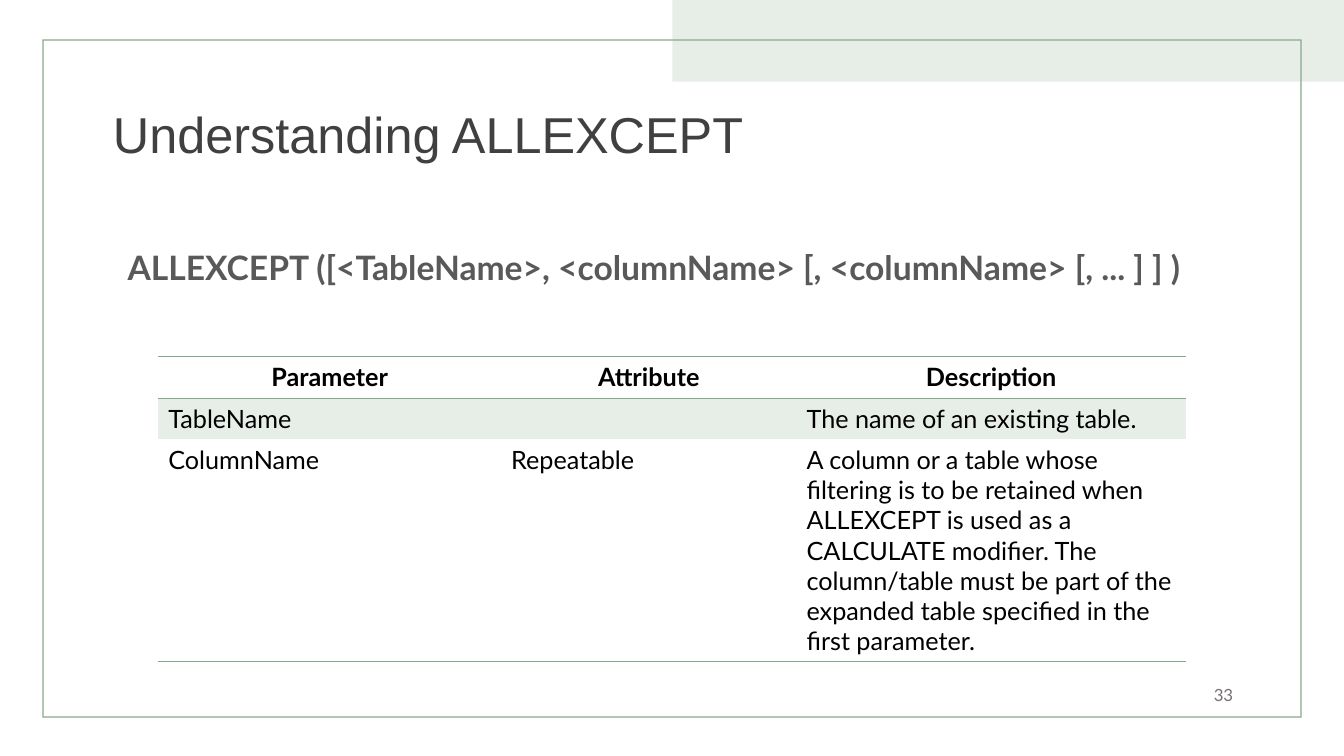
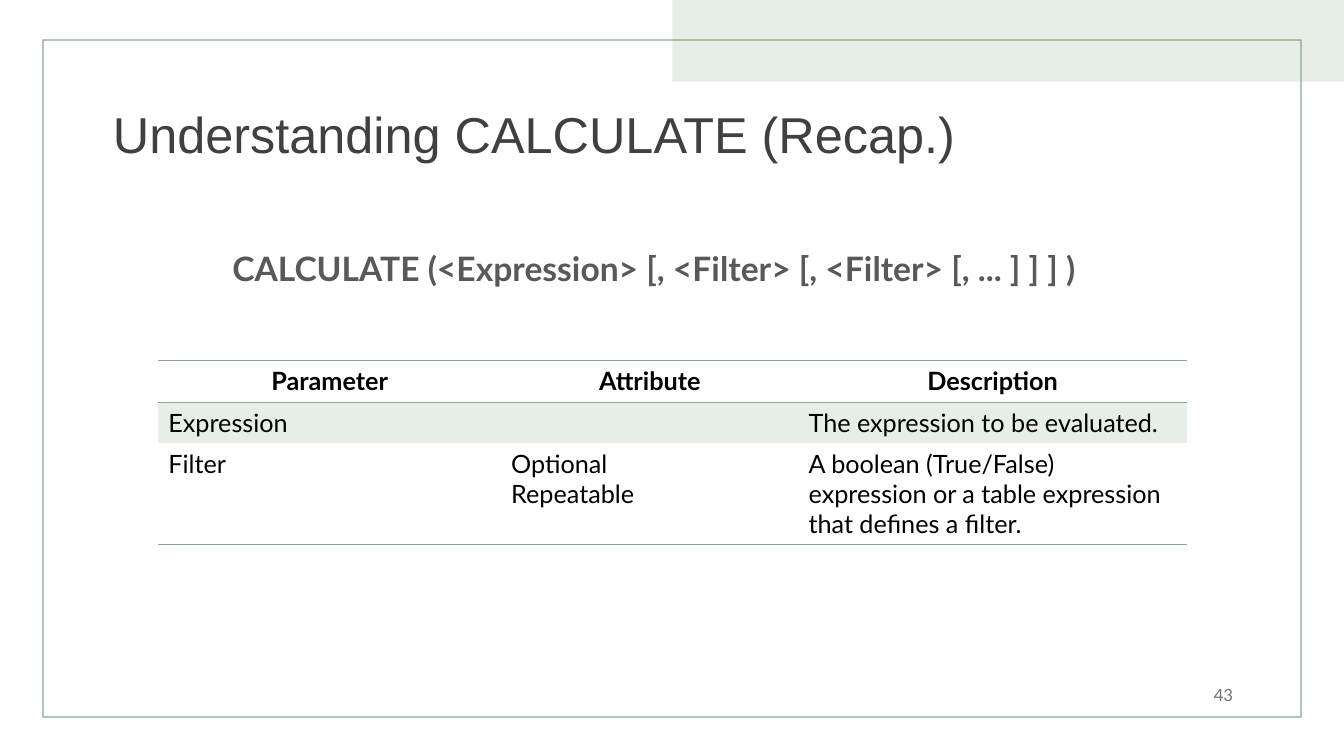
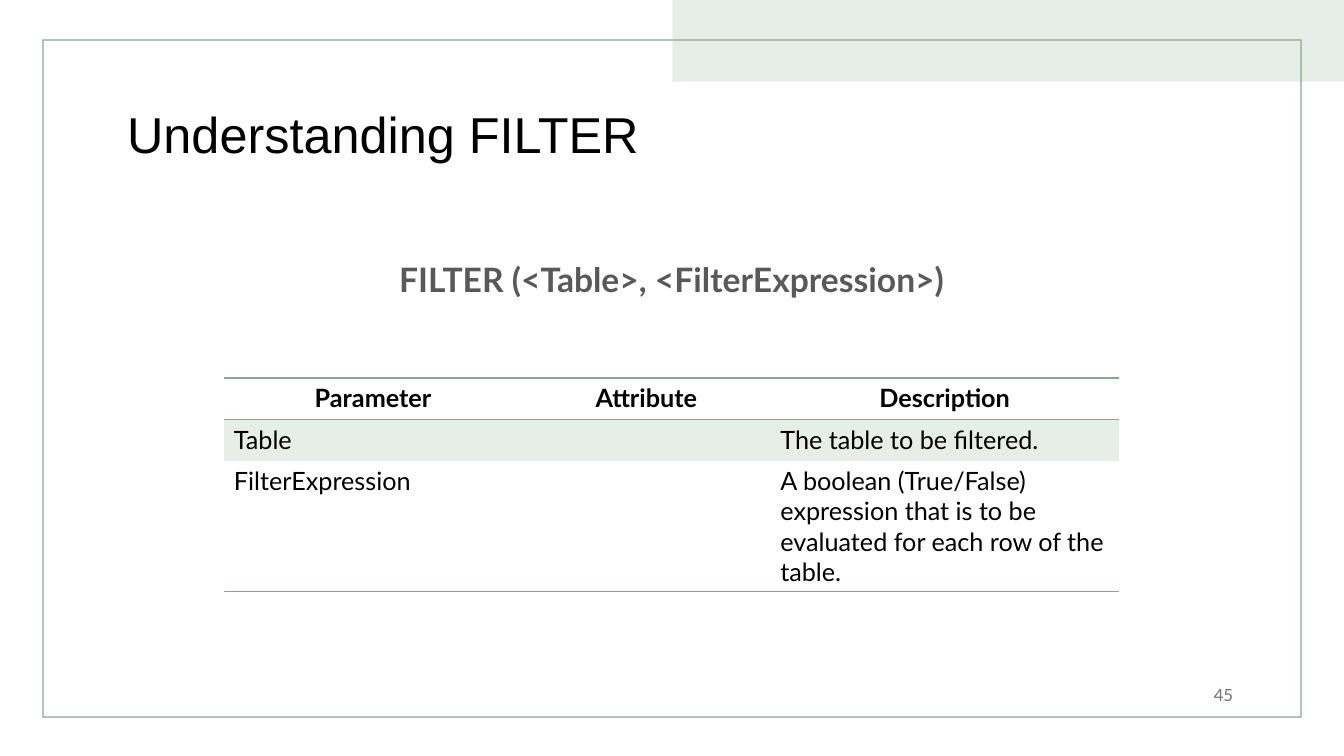
from dataclasses import dataclass

from lxml import etree
from pptx import Presentation
from pptx.dml.color import RGBColor
from pptx.enum.shapes import MSO_SHAPE as Shape
from pptx.enum.text import MSO_ANCHOR as Anchor, MSO_AUTO_SIZE as AutoSize, PP_ALIGN as Align
from pptx.oxml.ns import qn
from pptx.util import Inches, Pt

# Shared look
SAGE, PALE_SAGE = "88A88E", "E7EEE8"
BLACK, CHARCOAL, GREY, PAGE_GREY = "000000", "404040", "595959", "767171"
HEADING_FONT, BODY_FONT = "Arial", "Lato"
NO_STYLE_TABLE = "{2D5ABB26-0587-4C30-8999-92F81FD0307C}"
HEADERS = ("Parameter", "Attribute", "Description")
ROW_HEIGHT = 0.41
TITLE_BOX = (1.02, 0.53, 11.5, 1.67)
PAGE_BOX = (9.33, 6.69, 3, 0.4)


@dataclass(frozen=True)
class FunctionPage:
    title: str
    syntax: str
    syntax_box: tuple[float, float, float, float]
    page: int
    table_at: tuple[float, float]
    columns: tuple[float, float, float]
    parameters: tuple[tuple[str, str, str], ...]
    title_colour: str = CHARCOAL
    title_indent: float = 0.1


PAGES = (
    FunctionPage(
        "Understanding ALLEXCEPT",
        "ALLEXCEPT ([<TableName>, <columnName> [, <columnName> [, ... ] ] )",
        (0.93, 2.45, 11.11, 0.95), 33, (1.57, 3.54), (3.4, 2.93, 3.86),
        (("TableName", "", "The name of an existing table."),
         ("ColumnName", "Repeatable",
          "A column or a table whose filtering is to be retained when ALLEXCEPT is used "
          "as a CALCULATE modifier. The column/table must be part of the expanded table "
          "specified in the first parameter.")),
    ),
    FunctionPage(
        "Understanding CALCULATE (Recap.)",
        "CALCULATE (<Expression> [, <Filter> [, <Filter> [, ... ] ] ] )",
        (0.93, 2.46, 11.11, 0.54), 43, (1.57, 3.58), (3.4, 2.95, 3.85),
        (("Expression", "", "The expression to be evaluated."),
         ("Filter", "Optional\nRepeatable",
          "A boolean (True/False) expression or a table expression that defines a filter.")),
    ),
    FunctionPage(
        "Understanding FILTER",
        "FILTER (<Table>, <FilterExpression>)",
        (2.74, 2.56, 7.84, 0.48), 45, (2.22, 3.75), (2.96, 2.46, 3.46),
        (("Table", "", "The table to be filtered."),
         ("FilterExpression", "",
          "A boolean (True/False) expression that is to be evaluated for each row "
          "of the table.")),
        title_colour=BLACK, title_indent=0.24,
    ),
)


def colour(value: str) -> RGBColor:
    return RGBColor.from_string(value)


def inches(lengths) -> list:
    return [Inches(length) for length in lengths]


def write(frame, text: str, *, size=18, font=BODY_FONT, ink=BLACK, bold=False,
          align=Align.LEFT, line_spacing=1.0, before=0, after=0) -> None:
    """Fill a text frame, one paragraph for each line of text."""
    for index, line in enumerate(text.split("\n")):
        paragraph = frame.add_paragraph() if index else frame.paragraphs[0]
        paragraph.alignment = align
        paragraph.line_spacing = line_spacing
        paragraph.space_before, paragraph.space_after = Pt(before), Pt(after)
        run = paragraph.add_run()
        run.text = line
        run.font.size, run.font.name, run.font.bold = Pt(size), font, bold
        run.font.color.rgb = colour(ink)


def add_text(slide, box, text: str, *, anchor=Anchor.TOP, **text_format) -> None:
    frame = slide.shapes.add_textbox(*inches(box)).text_frame
    frame.word_wrap = True
    frame.vertical_anchor = anchor
    write(frame, text, **text_format)


def add_backdrop(slide, kind, box, fill: str):
    shape = slide.shapes.add_shape(kind, *inches(box))
    shape.shadow.inherit = False
    shape.fill.solid()
    shape.fill.fore_color.rgb = colour(fill)
    shape.line.fill.background()
    return shape


def share_backdrop(slide) -> None:
    """Draw the band and the frame, then move them to the slide's layout."""
    band = add_backdrop(slide, Shape.RECTANGLE, (6.67, 0, 6.67, 0.81), PALE_SAGE)
    border = add_backdrop(slide, Shape.FRAME, (0.42, 0.39, 12.49, 6.73), SAGE)
    border.adjustments[0] = 0.002
    for offset, shape in enumerate((band, border)):
        shape.element.nvSpPr.cNvPr.set("id", str(101 + offset))
        slide.slide_layout.shapes.element.insert(2 + offset, shape.element)


def set_borders(cell, ruled: str) -> None:
    """Rule the named sides (of L, R, T, B) in sage and clear the others."""
    properties = cell._tc.get_or_add_tcPr()
    for side in "LRTB":
        line = etree.SubElement(properties, qn(f"a:ln{side}"), w=str(Pt(1)))
        if side in ruled:
            fill = etree.SubElement(line, qn("a:solidFill"))
            etree.SubElement(fill, qn("a:srgbClr"), val=SAGE)
        else:
            etree.SubElement(line, qn("a:noFill"))


def add_parameters(slide, page: FunctionPage) -> None:
    rows = (HEADERS, *page.parameters)
    box = (*page.table_at, sum(page.columns), ROW_HEIGHT * len(rows))
    table = slide.shapes.add_table(len(rows), len(HEADERS), *inches(box)).table
    table._tbl.tblPr.find(qn("a:tableStyleId")).text = NO_STYLE_TABLE
    for column, width in zip(table.columns, page.columns):
        column.width = Inches(width)
    for r, row in enumerate(rows):
        header = r == 0
        ruled = "TB" if header else "B" if r == len(rows) - 1 else ""
        # The first parameter row sits under the header rule
        ruled += "T" if r == 1 else ""
        for c, text in enumerate(row):
            cell = table.cell(r, c)
            set_borders(cell, ruled)
            if r % 2:
                cell.fill.solid()
                cell.fill.fore_color.rgb = colour(PALE_SAGE)
            else:
                cell.fill.background()
            if text:
                write(cell.text_frame, text, bold=header,
                      align=Align.CENTER if header else Align.LEFT)


def add_title(slide, page: FunctionPage) -> None:
    title = slide.shapes.title
    title.left, title.top, title.width, title.height = inches(TITLE_BOX)
    frame = title.text_frame
    frame.auto_size = AutoSize.NONE
    frame.vertical_anchor = Anchor.MIDDLE
    frame.margin_left = Inches(page.title_indent)
    write(frame, page.title, size=36, font=HEADING_FONT, ink=page.title_colour,
          line_spacing=0.9)


def main() -> None:
    deck = Presentation()
    deck.slide_width, deck.slide_height = Inches(13.33), Inches(7.5)
    title_only = deck.slide_layouts[5]
    for index, page in enumerate(PAGES):
        slide = deck.slides.add_slide(title_only)
        if index == 0:
            share_backdrop(slide)
        add_title(slide, page)
        add_text(slide, page.syntax_box, page.syntax, size=24, ink=GREY, bold=True,
                 align=Align.CENTER, line_spacing=0.9, before=10, after=12)
        add_text(slide, PAGE_BOX, str(page.page), size=12, ink=PAGE_GREY,
                 align=Align.RIGHT, anchor=Anchor.MIDDLE)
        add_parameters(slide, page)
    deck.save("out.pptx")


if __name__ == "__main__":
    main()
